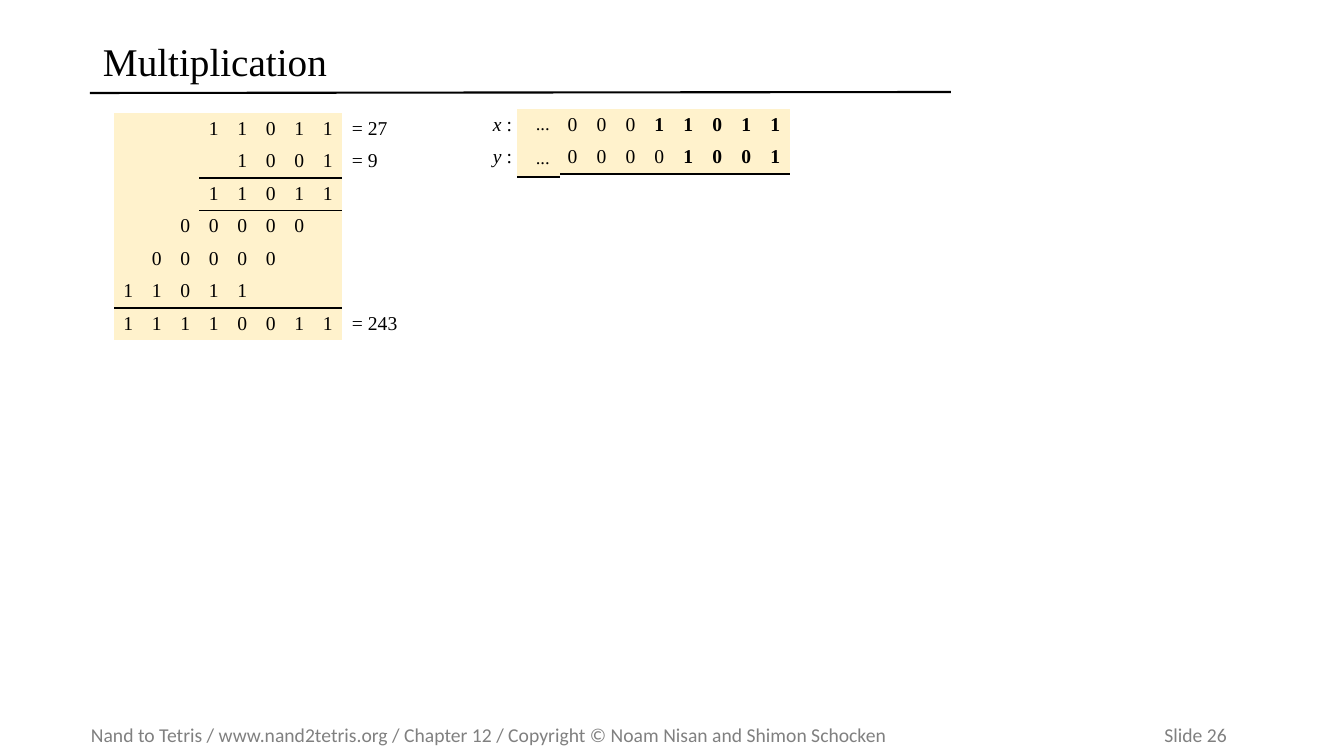
from dataclasses import dataclass

from lxml import etree
from pptx import Presentation
from pptx.dml.color import RGBColor
from pptx.enum.shapes import MSO_CONNECTOR
from pptx.enum.text import MSO_ANCHOR, PP_ALIGN
from pptx.oxml.ns import qn
from pptx.util import Emu, Pt

LEFT, MID, RIGHT = PP_ALIGN.LEFT, PP_ALIGN.CENTER, PP_ALIGN.RIGHT
CENTER = MSO_ANCHOR.MIDDLE
LINE = MSO_CONNECTOR.STRAIGHT
SERIF, SANS = "Times New Roman", "Calibri"
BLACK, GRAY, CREAM = "000000", "808080", "FFF2CC"
PLAIN = "{2D5ABB26-0587-4C30-8999-92F81FD0307C}"
PAD = 5


@dataclass(frozen=True)
class Grid:
    """A table; rules maps a row to the first column underlined,
    bold a row to its first bold column, slant a row to its count
    of leading italic characters."""
    x: int
    y: int
    width: int
    row: int
    cells: list
    rules: dict
    bold: dict
    slant: dict
    align: PP_ALIGN = MID
    size: int = 14
    inset: int = 0
    fill: str = ""


GRIDS = [
    Grid(114, 113, 228, 32,
         ["   11011", "    1001", "   11011", "  00000 ",
          " 00000  ", "11011   ", "11110011"],
         {1: 3, 5: 0}, {}, {}, fill=CREAM),
    Grid(558, 109, 232, 32, ["00011011", "00001001"],
         {1: 0}, {0: 3, 1: 4}, {}, fill=CREAM),
    Grid(447, 109, 75, 32, [["x :"], ["y :"]] + [[""]] * 4,
         {}, {}, {0: 2, 1: 1}, align=RIGHT, inset=10),
    Grid(342, 113, 70, 32, [["= 27"], ["= 9"]] + [[""]] * 4 + [["= 243"]],
         {}, {}, {}, align=LEFT, inset=10),
    Grid(517, 109, 43, 34, [["..."], ["..."]],
         {1: 0}, {}, {0: 3, 1: 3}, align=RIGHT, size=13, inset=10,
         fill=CREAM),
]


def px(n: float) -> Emu:
    return Emu(round(n * 914400 / 100.8))


def color(code: str) -> RGBColor:
    return RGBColor.from_string(code)


def write(frame, words: str, *, size: int = 14, face: str = SERIF,
          ink: str = BLACK, align: PP_ALIGN = LEFT, bold: bool = False,
          slant: int = 0, tab: int = 0, lead: float = 1.0) -> None:
    """Fill the first paragraph; its first slant characters are italic."""
    par = frame.paragraphs[0]
    par.alignment = align
    par.line_spacing = lead
    if tab:
        stops = etree.SubElement(par._p.get_or_add_pPr(), qn("a:tabLst"))
        etree.SubElement(stops, qn("a:tab"), pos=str(px(tab)), algn="r")
    for part, tilt in ((words[:slant], True), (words[slant:], False)):
        if part:
            run = par.add_run()
            run.text = part
            font = run.font
            font.size, font.name = Pt(size), face
            font.bold, font.italic = bold, tilt
            font.color.rgb = color(ink)
    if not words:
        end = etree.SubElement(par._p, qn("a:endParaRPr"), sz=str(size * 100))
        etree.SubElement(end, qn("a:latin"), typeface=face)


def add_text(slide, x: int, y: int, w: int, h: int, words: str,
             inset: int = 0, **style) -> None:
    frame = slide.shapes.add_textbox(px(x), px(y), px(w), px(h)).text_frame
    frame.word_wrap = True
    frame.vertical_anchor = CENTER
    frame.margin_left = frame.margin_right = px(inset)
    write(frame, words, **style)


def add_rule(slide, x1: int, y1: int, x2: int, y2: int) -> None:
    rule = slide.shapes.add_connector(LINE, px(x1), px(y1), px(x2), px(y2))
    rule.line.color.rgb = color(BLACK)
    rule.line.width = Pt(1.5)
    etree.SubElement(rule._element.spPr, qn("a:effectLst"))


def edge(cell, side: str) -> None:
    """Draw one border of a cell, placed ahead of its fill."""
    line = etree.Element(qn(f"a:{side}"), w=str(Pt(1)))
    fill = etree.SubElement(line, qn("a:solidFill"))
    etree.SubElement(fill, qn("a:srgbClr"), val=BLACK)
    cell._tc.get_or_add_tcPr().insert(0, line)


def add_grid(slide, grid: Grid) -> None:
    rows, cols = len(grid.cells), len(grid.cells[0])
    table = slide.shapes.add_table(
        rows, cols, px(grid.x), px(grid.y),
        px(grid.width), px(grid.row * rows)).table
    table.first_row = table.horz_banding = False
    table._tbl.tblPr.find(qn("a:tableStyleId")).text = PLAIN
    for col in table.columns:
        col.width = px(grid.width / cols)
    for r, line in enumerate(grid.cells):
        table.rows[r].height = px(grid.row)
        for c, words in enumerate(line):
            cell = table.cell(r, c)
            cell.margin_left = cell.margin_right = px(grid.inset)
            cell.margin_top, cell.margin_bottom = px(PAD), px(PAD - 1)
            if grid.fill:
                cell.fill.solid()
                cell.fill.fore_color.rgb = color(grid.fill)
            else:
                cell.fill.background()
            if c >= grid.rules.get(r, cols):
                edge(cell, "lnB")
            if c >= grid.rules.get(r - 1, cols):
                edge(cell, "lnT")
            write(cell.text_frame, words.strip(), size=grid.size,
                  align=grid.align, bold=c >= grid.bold.get(r, cols),
                  slant=grid.slant.get(r, 0))


def main() -> None:
    deck = Presentation()
    deck.slide_width, deck.slide_height = px(1344), px(756)
    slide = deck.slides.add_slide(deck.slide_layouts[6])
    add_text(slide, 91, 718, 1235, 34,
             "Nand to Tetris / www.nand2tetris.org / Chapter 12 / "
             "Copyright © Noam Nisan and Shimon Schocken\tSlide 26",
             face=SANS, ink=GRAY, tab=1136)
    add_rule(slide, 90, 93, 951, 92)
    add_text(slide, 93, 32, 860, 64, "Multiplication", inset=10,
             size=28, lead=0.9)
    for grid in GRIDS:
        add_grid(slide, grid)
    deck.save("out.pptx")


if __name__ == "__main__":
    main()
